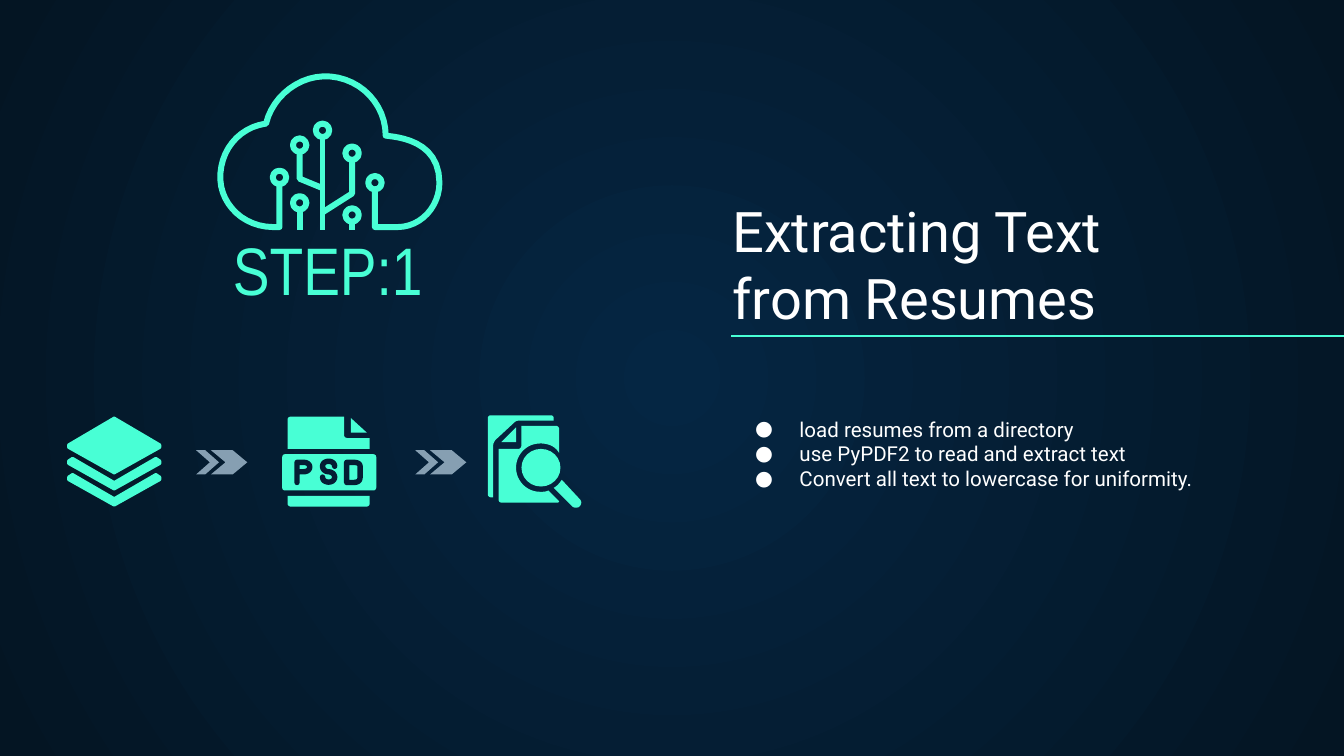
import pptx
import pptx.util
import pptx.dml.color
import pptx.enum.shapes
import pptx.enum.text
import pptx.oxml
import pptx.oxml.ns

Inches, Pt = pptx.util.Inches, pptx.util.Pt
qn = pptx.oxml.ns.qn
SHAPE = pptx.enum.shapes.MSO_SHAPE
ALIGN = pptx.enum.text.PP_ALIGN
ANCHOR = pptx.enum.text.MSO_ANCHOR

COLORS = {"center": "052643", "edge": "041523", "mint": "48FFD5",
          "arrow": "869FB2", "letter": "041D34", "white": "FFFFFF"}

TITLE = "Extracting Text from Resumes"
STEP = "STEP:1"
TASKS = ["load resumes from a directory",
         "use PyPDF2 to read and extract text",
         "Convert all text to lowercase for uniformity."]

# Outlines in inches: a pair is a corner, six numbers are a Bezier curve.
CIRCUIT_LINE = 3.2
CLOUD = [(2.08, 1.38), (2.08, 1.69), (2.03, 1.69),
         (1.82, 1.69, 1.65, 1.53, 1.64, 1.34), (1.63, 1.13, 1.77, 0.95, 1.98, 0.92),
         (2.03, 0.71, 2.24, 0.55, 2.46, 0.57), (2.69, 0.59, 2.87, 0.78, 2.87, 1.01),
         (2.95, 1.02, 3.27, 1.04, 3.27, 1.36), (3.27, 1.54, 3.13, 1.69, 2.96, 1.69),
         (2.79, 1.69), (2.79, 1.42)]
TRACES = [[(2.4, 1.02), (2.4, 1.71)],
          [(2.23, 1.14), (2.23, 1.33), (2.4, 1.4)],
          [(2.62, 1.2), (2.62, 1.44), (2.4, 1.58)],
          [(2.23, 1.57), (2.23, 1.71)],
          [(2.62, 1.65), (2.62, 1.71)]]
NODES = [(2.4, 0.97), (2.23, 1.08), (2.62, 1.14), (2.08, 1.32),
         (2.79, 1.36), (2.23, 1.51), (2.62, 1.6)]
NODE_RADIUS = 0.05

LAYER_TOP = [(0.85, 3.11), (1.19, 3.31), (1.19, 3.33), (0.85, 3.52),
             (0.51, 3.33), (0.51, 3.31)]
LAYER_BELOW = [(0.54, 3.41), (0.51, 3.43), (0.51, 3.45), (0.85, 3.64),
               (1.19, 3.45), (1.19, 3.43), (1.16, 3.41), (0.85, 3.59)]
LAYER_GAP = 0.12

FILE_PARTS = [
    [(2.14, 3.34), (2.14, 3.12), (2.14, 3.11, 2.15, 3.1, 2.17, 3.1), (2.56, 3.1),
     (2.56, 3.24), (2.56, 3.25, 2.57, 3.26, 2.59, 3.26), (2.75, 3.26), (2.75, 3.34)],
    [(2.61, 3.11), (2.73, 3.22), (2.61, 3.22)],
    [(2.14, 3.69), (2.14, 3.75), (2.14, 3.76, 2.15, 3.77, 2.17, 3.77), (2.72, 3.77),
     (2.74, 3.77, 2.75, 3.76, 2.75, 3.75), (2.75, 3.69)]]
FILE_LABEL = (2.1, 3.38, 0.7, 0.27)
FILE_LETTERS = [
    [(2.21, 3.59), (2.21, 3.44), (2.26, 3.44), (2.32, 3.44, 2.32, 3.51, 2.26, 3.51),
     (2.21, 3.51)],
    [(2.49, 3.47), (2.49, 3.42, 2.4, 3.42, 2.4, 3.47), (2.4, 3.49, 2.42, 3.51, 2.44, 3.51),
     (2.47, 3.51, 2.49, 3.53, 2.49, 3.55), (2.49, 3.6, 2.4, 3.6, 2.4, 3.55)],
    [(2.58, 3.44), (2.63, 3.44), (2.66, 3.44, 2.68, 3.45, 2.68, 3.47), (2.68, 3.55),
     (2.68, 3.58, 2.66, 3.59, 2.63, 3.59), (2.58, 3.59), (2.58, 3.44)]]

SEARCH_PARTS = [
    [(3.65, 3.09), (3.64, 3.09, 3.63, 3.1, 3.63, 3.11), (3.63, 3.68),
     (3.63, 3.69, 3.64, 3.7, 3.65, 3.7), (3.67, 3.7), (3.67, 3.31),
     (3.67, 3.3, 3.68, 3.28, 3.69, 3.27), (3.82, 3.15),
     (3.83, 3.14, 3.84, 3.13, 3.86, 3.13), (4.12, 3.13), (4.12, 3.11),
     (4.12, 3.1, 4.11, 3.09, 4.1, 3.09)],
    [(3.84, 3.18), (3.73, 3.29), (3.84, 3.29)],
    [(3.88, 3.17), (3.88, 3.31), (3.88, 3.33, 3.87, 3.34, 3.86, 3.34), (3.71, 3.34),
     (3.71, 3.72), (3.71, 3.73, 3.72, 3.74, 3.73, 3.74), (4.14, 3.74),
     (4.15, 3.74, 4.16, 3.74, 4.16, 3.73), (4.08, 3.65),
     (4.06, 3.66, 4.04, 3.66, 4.02, 3.66), (3.92, 3.66, 3.84, 3.58, 3.84, 3.48),
     (3.84, 3.38, 3.92, 3.3, 4.02, 3.3), (4.08, 3.3, 4.13, 3.32, 4.16, 3.37),
     (4.16, 3.19), (4.16, 3.18, 4.15, 3.17, 4.14, 3.17)],
    [(4.18, 3.57), (4.16, 3.6, 4.14, 3.62, 4.12, 3.63), (4.26, 3.77),
     (4.27, 3.78, 4.3, 3.78, 4.31, 3.77), (4.33, 3.75, 4.33, 3.73, 4.31, 3.71)]]
LENS = (3.88, 3.34, 0.29, 0.28)

ARROW_LEFTS = [1.46, 3.09]
ARROW_CHEVRONS = [(0.11, 0.27), (0, 0.17)]  # offset, width


def rgb(name):
    return pptx.dml.color.RGBColor.from_string(COLORS[name])


def style(shape, fill=None, line=None, width=1.5):
    shape.shadow.inherit = False
    if fill:
        shape.fill.solid()
        shape.fill.fore_color.rgb = rgb(fill)
    else:
        shape.fill.background()
    if line:
        shape.line.color.rgb = rgb(line)
        shape.line.width = Pt(width)
    else:
        shape.line.fill.background()


def add_preset(kind, box, **look):
    shape = slide.shapes.add_shape(kind, *map(Inches, box))
    style(shape, **look)
    return shape


def flatten(outline, steps=12):
    """Turn corners and Bezier curves into a list of points."""
    points = []
    for part in outline:
        if len(part) == 2:
            points.append(part)
            continue
        controls = [points[-1], part[:2], part[2:4], part[4:]]
        for step in range(1, steps + 1):
            t = step / steps
            weights = [(1 - t) ** 3, 3 * t * (1 - t) ** 2, 3 * t * t * (1 - t), t ** 3]
            points.append(tuple(sum(w * c[axis] for w, c in zip(weights, controls))
                                for axis in (0, 1)))
    return points


def add_outline(outline, dy=0, round_cap=False, **look):
    """Draw a closed shape if it has a fill, else an open stroke."""
    points = [(Inches(x), Inches(y + dy)) for x, y in flatten(outline)]
    builder = slide.shapes.build_freeform(*points[0])
    builder.add_line_segments(points[1:], close="fill" in look)
    shape = builder.convert_to_shape()
    style(shape, **look)
    if round_cap:
        shape.line._get_or_add_ln().set("cap", "rnd")


def add_text(box, lines, size, font="Roboto", color="white", align=ALIGN.LEFT,
             anchor=ANCHOR.TOP, bullet=None):
    frame = slide.shapes.add_textbox(*map(Inches, box)).text_frame
    frame.word_wrap = True
    frame.vertical_anchor = anchor
    frame.margin_left = frame.margin_right = Inches(0.1)
    frame.margin_top = frame.margin_bottom = Inches(0.1)
    for index, line in enumerate(lines):
        paragraph = frame.add_paragraph() if index else frame.paragraphs[0]
        paragraph.alignment = align
        run = paragraph.add_run()
        run.text = line
        run.font.size, run.font.name = Pt(size), font
        run.font.color.rgb = rgb(color)
        if bullet:
            props = paragraph._p.get_or_add_pPr()
            props.set("marL", str(Inches(0.5)))
            props.set("indent", str(Inches(-0.33)))
            bullet_color = props.makeelement(qn("a:buClr"), {})
            bullet_color.append(props.makeelement(qn("a:srgbClr"), {"val": COLORS[color]}))
            props.append(bullet_color)
            props.append(props.makeelement(qn("a:buFont"), {"typeface": font}))
            props.append(props.makeelement(qn("a:buChar"), {"char": bullet}))


def set_radial_background():
    fill = slide.background.fill
    fill.gradient()
    for stop, name in zip(fill.gradient_stops, ("center", "edge")):
        stop.color.rgb = rgb(name)
    gradient = next(slide._element.iter(qn("a:gradFill")))
    gradient.remove(gradient.find(qn("a:lin")))
    radial = gradient.makeelement(qn("a:path"), {"path": "circle"})
    radial.append(radial.makeelement(qn("a:fillToRect"),
                                     {side: "50000" for side in "ltrb"}))
    gradient.append(radial)


deck = pptx.Presentation()
deck.slide_width = Inches(10)
deck.slide_height = deck.slide_width * 9 // 16
slide = deck.slides.add_slide(deck.slide_layouts[6])
set_radial_background()

add_text((5.35, 3, 3.78, 1.55), TASKS, 11, bullet="●")
add_text((5.35, 1.9, 3.86, 0.66), [TITLE], 30, anchor=ANCHOR.BOTTOM)
rule = slide.shapes.add_connector(pptx.enum.shapes.MSO_CONNECTOR.STRAIGHT,
                                  Inches(5.44), Inches(2.5), Inches(10.3), Inches(2.5))
rule.line.color.rgb = rgb("mint")
rule.line.width = Pt(0.75)
rule_props = rule._element.spPr
rule_props.append(rule_props.makeelement(qn("a:effectLst"), {}))

for stroke in [CLOUD, *TRACES]:
    add_outline(stroke, line="mint", width=CIRCUIT_LINE)
for x, y in NODES:
    add_preset(SHAPE.OVAL, (x - NODE_RADIUS, y - NODE_RADIUS, 2 * NODE_RADIUS, 2 * NODE_RADIUS),
               line="mint", width=CIRCUIT_LINE)
add_text((1.55, 1.97, 1.78, 0.43), [STEP], 36, font="Arial Narrow", color="mint",
         align=ALIGN.CENTER, anchor=ANCHOR.BOTTOM)

for layer, dy in [(LAYER_TOP, 0), (LAYER_BELOW, 0), (LAYER_BELOW, LAYER_GAP)]:
    add_outline(layer, dy, fill="mint", line="mint")
for part in FILE_PARTS + SEARCH_PARTS:
    add_outline(part, fill="mint")
add_preset(SHAPE.OVAL, LENS, fill="mint")
add_preset(SHAPE.ROUNDED_RECTANGLE, FILE_LABEL, fill="mint").adjustments[0] = 0.08
for letter in FILE_LETTERS:
    add_outline(letter, round_cap=True, line="letter", width=2.9)

for left in ARROW_LEFTS:
    for offset, width in ARROW_CHEVRONS:
        chevron = add_preset(SHAPE.CHEVRON, (left + offset, 3.35, width, 0.18), fill="arrow")
        chevron.adjustments[0] = 0.6

deck.save("out.pptx")
